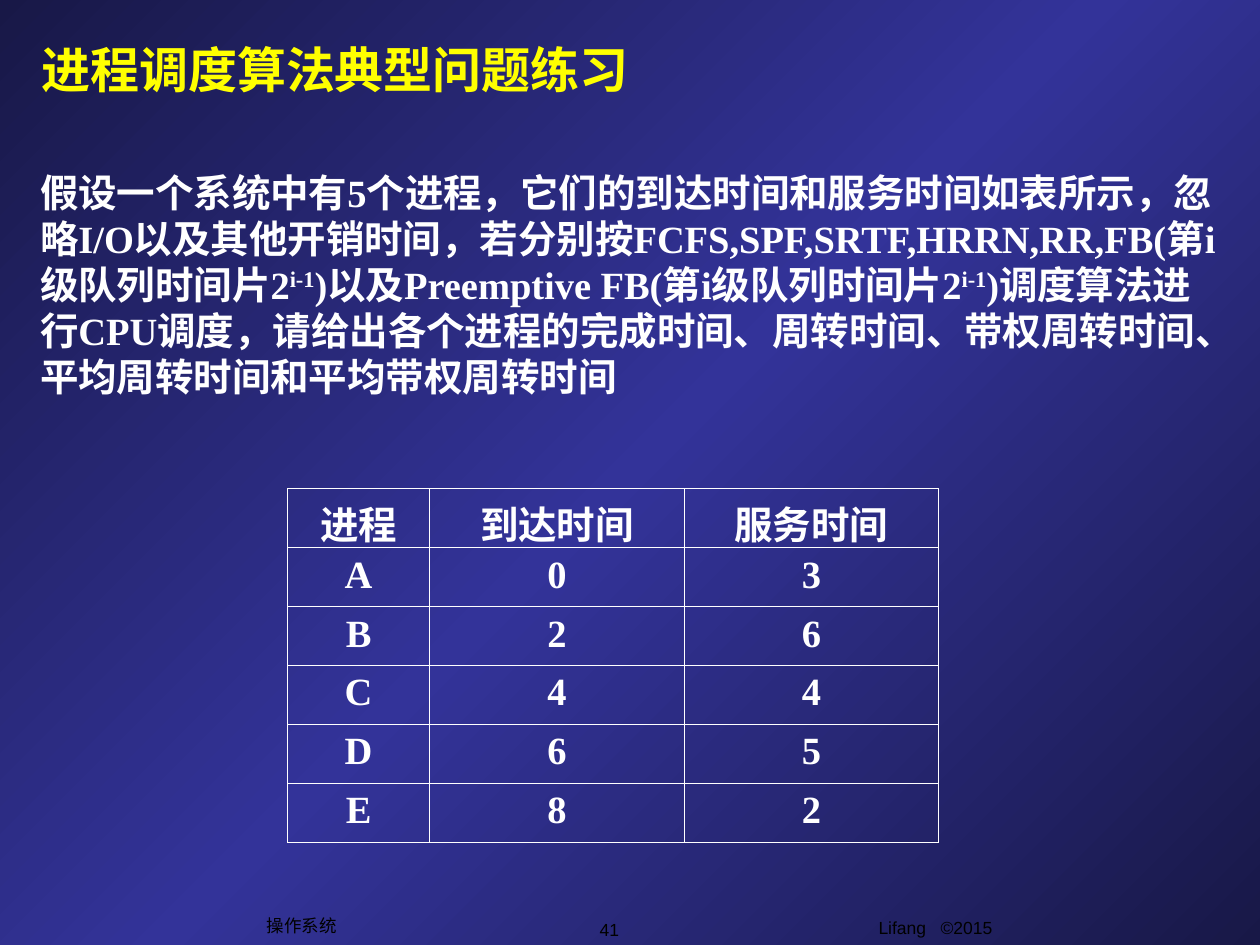
"""Build the process scheduling exercise slide."""
from copy import deepcopy

from lxml.etree import SubElement
from pptx import Presentation
from pptx.dml.color import RGBColor
from pptx.enum.text import MSO_ANCHOR as Anchor, PP_ALIGN as Align
from pptx.oxml.ns import qn
from pptx.util import Pt

SERIF, SANS = "Times New Roman", "Arial"
WHITE, YELLOW, BLACK = "FFFFFF", "FFFF00", "000000"
BACKDROP = [(0, "181847"), (0.5, "333399"), (1, "181847")]

TITLE = "进程调度算法典型问题练习"
QUESTION = [
    ("假设一个系统中有5个进程，它们的到达时间和服务时间如表所示，忽略I/O以及其他开销时间，"
     "若分别按FCFS,SPF,SRTF,HRRN,RR,FB(第i级队列时间片2", False),
    ("i-1", True),
    (")以及Preemptive FB(第i级队列时间片2", False),
    ("i-1", True),
    (")调度算法进行CPU调度，请给出各个进程的完成时间、周转时间、带权周转时间、"
     "平均周转时间和平均带权周转时间", False),
]
PROCESSES = [
    ("进程", "到达时间", "服务时间"),
    ("A", "0", "3"),
    ("B", "2", "6"),
    ("C", "4", "4"),
    ("D", "6", "5"),
    ("E", "8", "2"),
]
FOOTERS = [
    ("Lifang   ©2015", (420.5, 520.5, 228, 25), Anchor.TOP, True),
    ("41", (318.2, 521.3, 60, 19.4), Anchor.MIDDLE, False),
    ("操作系统", (145.4, 519.1, 54, 19.4), Anchor.MIDDLE, False),
]
COLUMN_WIDTHS = (81.4, 145.4, 145.4)
ROW_HEIGHT = 33.7
TABLE_LEFT, TABLE_TOP = 164.2, 279.2


def color(hex_code):
    return RGBColor.from_string(hex_code)


def style(run, size, face, hex_code, bold=False):
    run.font.size, run.font.name, run.font.bold = Pt(size), face, bold
    run.font.color.rgb = color(hex_code)


def add_text(slide, pieces, place, anchor, look, align=Align.LEFT, wrap=True):
    frame = slide.shapes.add_textbox(*map(Pt, place)).text_frame
    frame.word_wrap, frame.vertical_anchor = wrap, anchor
    paragraph = frame.paragraphs[0]
    paragraph.alignment = align
    for text, raised in pieces:
        run = paragraph.add_run()
        run.text = text
        style(run, *look)
        if raised:
            run._r.get_or_add_rPr().set("baseline", "30000")


def paint_background(slide):
    fill = slide.background.fill
    fill.gradient()
    fill.gradient_angle = 315
    stops = slide._element.find(".//" + qn("a:gsLst"))
    stops.append(deepcopy(stops[0]))
    for stop, (position, hex_code) in zip(fill.gradient_stops, BACKDROP):
        stop.position, stop.color.rgb = position, color(hex_code)


def add_borders(cell):
    properties = cell._tc.get_or_add_tcPr()
    for index, side in enumerate(("lnL", "lnR", "lnT", "lnB")):
        line = SubElement(properties, qn("a:" + side), w=str(Pt(0.45)))
        solid = SubElement(line, qn("a:solidFill"))
        SubElement(solid, qn("a:srgbClr"), val=WHITE)
        properties.insert(index, line)


def add_process_table(slide):
    table = slide.shapes.add_table(
        len(PROCESSES), len(COLUMN_WIDTHS), Pt(TABLE_LEFT), Pt(TABLE_TOP),
        Pt(sum(COLUMN_WIDTHS)), Pt(ROW_HEIGHT * len(PROCESSES))).table
    table.first_row = table.horz_banding = False
    for column, width in zip(table.columns, COLUMN_WIDTHS):
        column.width = Pt(width)
    for row, values in zip(table.rows, PROCESSES):
        row.height = Pt(ROW_HEIGHT)
        for cell, value in zip(row.cells, values):
            cell.text_frame.text = value
            paragraph = cell.text_frame.paragraphs[0]
            paragraph.alignment = Align.CENTER
            style(paragraph.runs[0], 22, SERIF, WHITE, True)
            cell.fill.background()
            add_borders(cell)


def main():
    deck = Presentation()
    deck.slide_width, deck.slide_height = Pt(720), Pt(540)
    slide = deck.slides.add_slide(deck.slide_layouts[6])
    paint_background(slide)
    for text, place, anchor, wrap in FOOTERS:
        add_text(slide, [(text, False)], place, anchor, (10, SANS, BLACK), Align.CENTER, wrap)
    add_text(slide, [(TITLE, False)], (16.6, 19.4, 640, 40.3), Anchor.MIDDLE,
             (28, SERIF, YELLOW, True))
    add_process_table(slide)
    add_text(slide, QUESTION, (15.8, 90, 689.8, 144.7), Anchor.MIDDLE,
             (22, SERIF, WHITE, True))
    deck.save("out.pptx")


if __name__ == "__main__":
    main()
